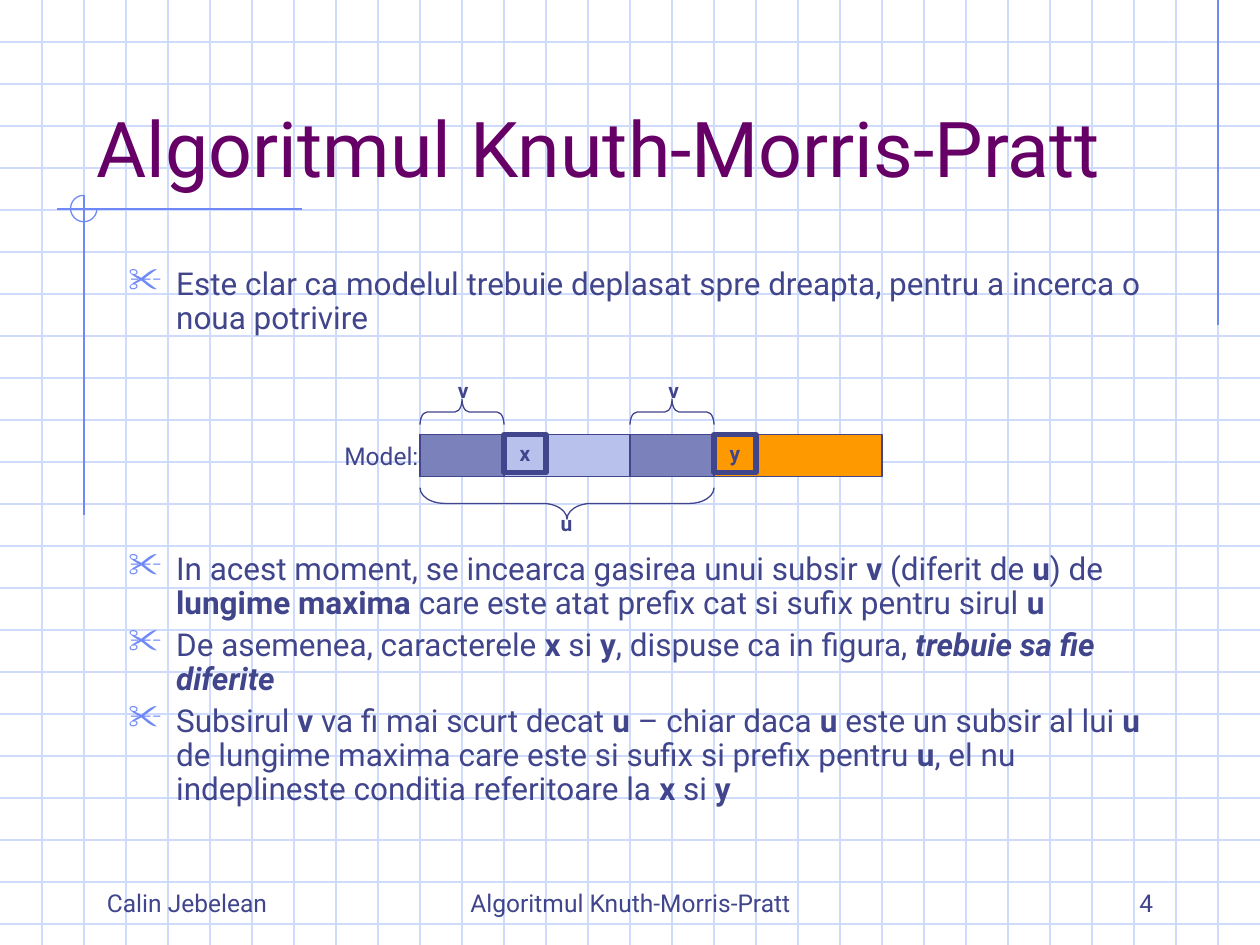
"""Build the slide on the Knuth-Morris-Pratt string matching algorithm."""
from lxml import etree
from pptx import Presentation, util as u
from pptx.dml.color import RGBColor
from pptx.enum import shapes, text
from pptx.oxml import ns

INK = RGBColor(0x40, 0x45, 0x8C)
PLUM = RGBColor(0x66, 0x00, 0x66)
ACCENT = RGBColor(0x6F, 0x89, 0xF7)
GRID = RGBColor(0xCF, 0xDB, 0xFD)
ORANGE = RGBColor(0xFF, 0x99, 0x00)
PALE = RGBColor(0xB7, 0xC1, 0xEB)
FONT = "Roboto"

WIDTH, HEIGHT = 10, 7.5
CELL = 1 / 3
BAR_TOP, BOX_HEIGHT = 3.45, 0.3
LEFT, CENTER, RIGHT = text.PP_ALIGN.LEFT, text.PP_ALIGN.CENTER, text.PP_ALIGN.RIGHT
TOP, BOTTOM = text.MSO_ANCHOR.TOP, text.MSO_ANCHOR.BOTTOM

TITLE = "Algoritmul Knuth-Morris-Pratt"
FOOTERS = [
    ("Calin Jebelean", 0.75, 2.08, LEFT),
    (TITLE, 3.42, 3.17, CENTER),
    ("4", 7.17, 2.08, RIGHT),
]
# Asterisks enclose bold text; a leading slash inside them adds italics.
BODY = [
    (2.08, 0.8, [
        "Este clar ca modelul trebuie deplasat spre dreapta, pentru a incerca o noua potrivire",
    ]),
    (4.34, 2.24, [
        "In acest moment, se incearca gasirea unui subsir *v* (diferit de *u*) de"
        "* lungime maxima* care este atat prefix cat si sufix pentru sirul *u*",
        "De asemenea, caracterele *x* si *y*, dispuse ca in figura, */trebuie sa fie diferite*",
        "Subsirul *v* va fi mai scurt decat *u* – chiar daca *u* este un subsir al lui *u*"
        " de lungime maxima care este si sufix si prefix pentru *u*, el nu indeplineste"
        " conditia referitoare la *x* si *y*",
    ]),
]
SEGMENTS = [(10, 11, ORANGE, 100), (10, 7, PALE, 100), (10, 2, INK, 50), (15, 2, INK, 50)]
MARKED = [("y", 17), ("x", 12)]
BRACES = [(10, 7, 3.87, 0.25, 270), (10, 2, 3.17, 0.2, 90), (15, 2, 3.17, 0.2, 90)]
LABELS = [("u", 4.33, 4), ("v", 3.51, 2.95), ("v", 5.18, 2.95)]
RULES = [(29 * CELL, 0, 29 * CELL, 2.58), (2.4, 1.66, 0.45, 1.66),
         (2 * CELL, 1.55, 2 * CELL, 4.09)]


def add_line(page, ends, color):
    line = page.shapes.add_connector(shapes.MSO_CONNECTOR.STRAIGHT, *map(u.Inches, ends))
    line.line.color.rgb = color
    line.line.width = u.Pt(0.75)
    etree.SubElement(line._element.spPr, ns.qn("a:effectLst"))


def add_shape(page, kind, place, fill=None, line=INK, weight=0.75):
    shape = page.shapes.add_shape(kind, *map(u.Inches, place))
    shape.shadow.inherit = False
    if fill is None:
        shape.fill.background()
    else:
        shape.fill.solid()
        shape.fill.fore_color.rgb = fill
    shape.line.color.rgb = line
    shape.line.width = u.Pt(weight)
    return shape


def add_bullet(para):
    props = para._p.get_or_add_pPr()
    props.set("marL", str(u.Inches(0.38)))
    props.set("indent", str(-u.Inches(0.38)))
    color = etree.SubElement(props, ns.qn("a:buClr"))
    etree.SubElement(color, ns.qn("a:srgbClr"), val=str(ACCENT))
    etree.SubElement(props, ns.qn("a:buSzPct"), val="110000")
    etree.SubElement(props, ns.qn("a:buChar"), char="✂")


def write(box, paragraphs, size=14, color=INK, align=LEFT, anchor=TOP, bold=False, bullets=False):
    frame = box.text_frame
    frame.word_wrap = True
    frame.vertical_anchor = anchor
    for index, content in enumerate(paragraphs):
        para = frame.add_paragraph() if index else frame.paragraphs[0]
        para.alignment = align
        if bullets:
            para.line_spacing = 0.9
            if index:
                para.space_before = u.Pt(4.5)
            add_bullet(para)
        for order, part in enumerate(content.split("*")):
            if not part:
                continue
            span = para.add_run()
            span.text = part.removeprefix("/")
            font = span.font
            font.name, font.size, font.color.rgb = FONT, u.Pt(size), color
            font.bold = bold or order % 2 == 1
            font.italic = part.startswith("/")


def add_text(page, place, paragraphs, **style):
    write(page.shapes.add_textbox(*map(u.Inches, place)), paragraphs, **style)


def draw_background(page):
    for row in range(1, 23):
        add_line(page, (0, row * CELL, WIDTH, row * CELL), GRID)
    for column in range(1, 30):
        add_line(page, (column * CELL, 0, column * CELL, HEIGHT), GRID)
    for ends in RULES:
        add_line(page, ends, ACCENT)
    arc = add_shape(page, shapes.MSO_SHAPE.ARC, (0.56, 1.55, 0.21, 0.21), line=ACCENT)
    arc.adjustments[0], arc.adjustments[1] = 0, 270 * 0.6


def draw_model(page):
    rectangle = shapes.MSO_SHAPE.RECTANGLE
    add_text(page, (2.42, BAR_TOP, 1, 0.34), ["Model:"], align=RIGHT)
    for column, cells, fill, opacity in SEGMENTS:
        place = (column * CELL, BAR_TOP, cells * CELL, CELL)
        segment = add_shape(page, rectangle, place, fill)
        if opacity < 100:
            color = segment._element.spPr.find(".//" + ns.qn("a:srgbClr"))
            etree.SubElement(color, ns.qn("a:alpha"), val=str(opacity * 1000))
    for letter, column in MARKED:
        place = (column * CELL, BAR_TOP, CELL, BOX_HEIGHT)
        box = add_shape(page, rectangle, place, weight=3)
        write(box, [letter], size=12, align=CENTER, bold=True)
    for column, cells, top, depth, angle in BRACES:
        length = cells * CELL
        place = (column * CELL + (length - depth) / 2, top + (depth - length) / 2, depth, length)
        brace = add_shape(page, shapes.MSO_SHAPE.LEFT_BRACE, place)
        brace.rotation = angle
        brace.adjustments[0] = length / depth / 12
    for letter, left, top in LABELS:
        add_text(page, (left, top, CELL, BOX_HEIGHT), [letter], size=12, align=CENTER, bold=True)


def main():
    deck = Presentation()
    deck.slide_width, deck.slide_height = u.Inches(WIDTH), u.Inches(HEIGHT)
    page = deck.slides.add_slide(deck.slide_layouts[6])
    draw_background(page)
    for content, left, width, align in FOOTERS:
        add_text(page, (left, 6.83, width, 0.5), [content], align=align, anchor=BOTTOM)
    add_text(page, (0.67, 0.33, 8.5, 1.25), [TITLE], size=44, color=PLUM, anchor=BOTTOM)
    for top, height, paragraphs in BODY:
        add_text(page, (0.92, top, 8.5, height), paragraphs, size=18, bullets=True)
    draw_model(page)
    deck.save("out.pptx")


if __name__ == "__main__":
    main()
